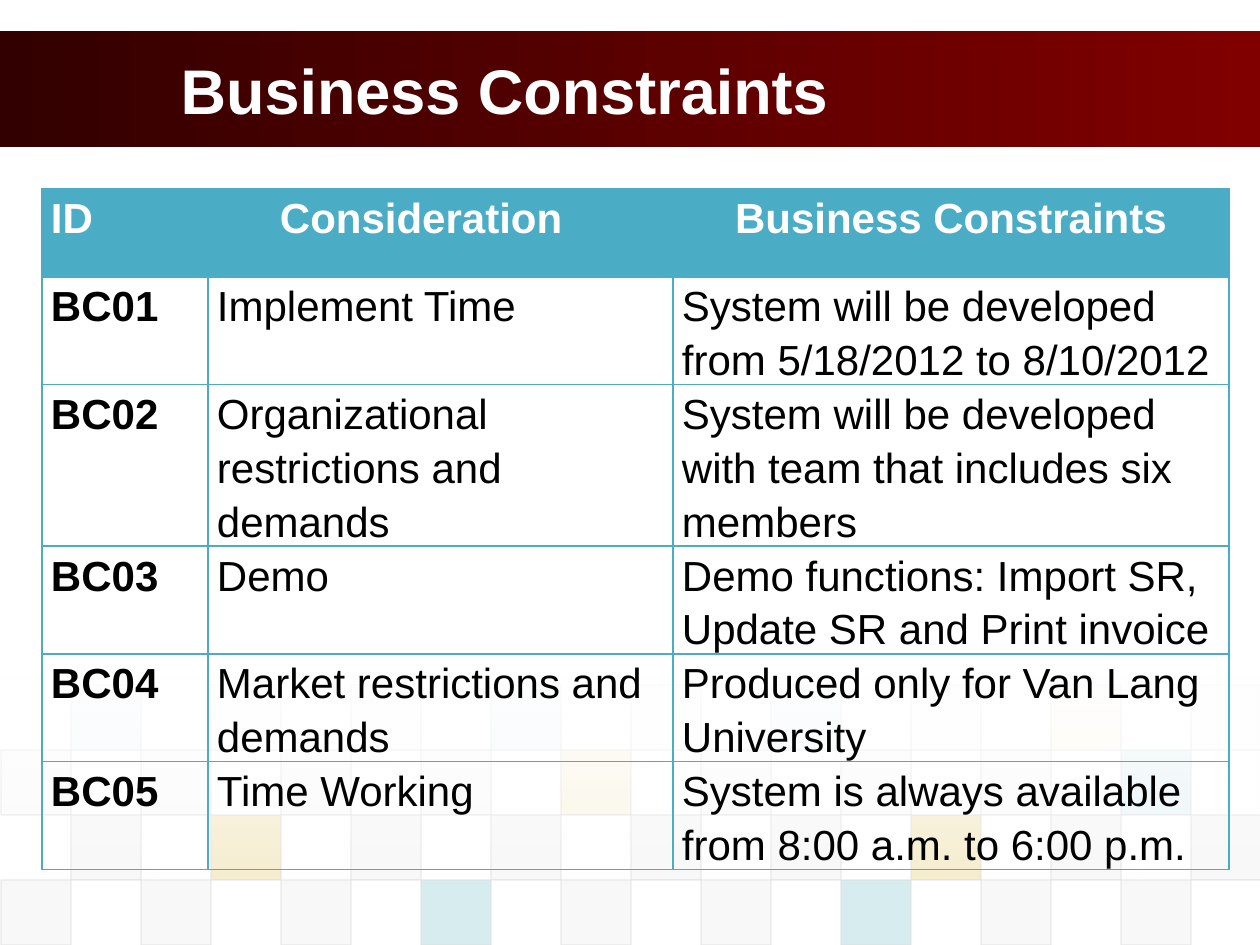
from dataclasses import dataclass

from lxml.etree import SubElement
from pptx import Presentation
from pptx.dml.color import RGBColor
from pptx.enum.shapes import MSO_SHAPE
from pptx.enum.text import MSO_ANCHOR, MSO_AUTO_SIZE, PP_ALIGN
from pptx.oxml import parse_xml
from pptx.oxml.ns import nsdecls, qn
from pptx.shapes.autoshape import Shape
from pptx.slide import Slide
from pptx.table import _Cell
from pptx.util import Emu, Pt

PX_PER_INCH = 126
WIDTH, HEIGHT = 1260, 945

WHITE = RGBColor(0xFF, 0xFF, 0xFF)
BLACK = RGBColor(0x00, 0x00, 0x00)
DARK_RED = RGBColor(0x33, 0x00, 0x00)
RED = RGBColor(0x80, 0x00, 0x00)
GRAY = RGBColor(0xDD, 0xDD, 0xDD)
PALE_GRAY = RGBColor(0xEA, 0xEA, 0xEA)
GOLD = RGBColor(0xD3, 0xA9, 0x11)
TEAL = RGBColor(0x38, 0xA3, 0xB2)
BLUE = RGBColor(0x4B, 0xAC, 0xC6)

FONT = "Arial"
TILE_W, TILE_H, TILE_TOP = 70, 65, 685
TILE_COLUMNS = 18
COLUMN_WIDTHS = (166, 465, 556)
ROW_HEIGHT = 88


@dataclass(frozen=True)
class TileRow:
    first_column: int
    opacity: int
    base: RGBColor
    accents: dict[int, RGBColor]


TILE_ROWS = (
    TileRow(1, 5, PALE_GRAY, {1: TEAL, 7: TEAL, 9: GRAY, 11: TEAL, 15: GOLD}),
    TileRow(0, 10, GRAY, {8: GOLD, 16: TEAL}),
    TileRow(1, 20, GRAY, {3: GOLD, 13: GOLD}),
    TileRow(0, 20, GRAY, {6: TEAL, 12: TEAL}),
)


@dataclass(frozen=True)
class Constraint:
    code: str
    consideration: str
    detail: str


HEADER = Constraint("ID", "\tConsideration", "Business Constraints")
CONSTRAINTS = (
    Constraint("BC01", "Implement Time",
               "System will be developed from 5/18/2012 to 8/10/2012"),
    Constraint("BC02", "Organizational restrictions and demands",
               "System will be developed with team that includes six members"),
    Constraint("BC03", "Demo",
               "Demo functions: Import SR, Update SR and Print invoice"),
    Constraint("BC04", "Market restrictions and demands",
               "Produced only for Van Lang University"),
    Constraint("BC05", "Time Working",
               "System is always available from 8:00 a.m. to 6:00 p.m."),
)


def px(n: int) -> Emu:
    return Emu(round(n * 914400 / PX_PER_INCH))


def add_rect(s: Slide, x: int, y: int, w: int, h: int) -> Shape:
    sp = s.shapes.add_shape(MSO_SHAPE.RECTANGLE, px(x), px(y), px(w), px(h))
    sp.shadow.inherit = False
    sp.line.fill.background()
    return sp


def set_gradient(sp: Shape, angle: int, start: RGBColor, end: RGBColor) -> None:
    sp.fill.gradient()
    sp.fill.gradient_angle = angle
    for stop, color in zip(sp.fill.gradient_stops, (start, end)):
        stop.color.rgb = color


def set_opacities(sp: Shape, *percents: int) -> None:
    """Apply opacities to the shape's colours in order: fill first, then line."""
    for color, percent in zip(list(sp._element.iter(qn("a:srgbClr"))), percents):
        SubElement(color, qn("a:alpha")).set("val", str(percent * 1000))


def add_background(s: Slide) -> None:
    band = add_rect(s, 0, 31, WIDTH, 116)
    set_gradient(band, 0, DARK_RED, RED)
    for i, row in enumerate(TILE_ROWS):
        for column in range(row.first_column, TILE_COLUMNS, 2):
            tile = add_rect(s, 1 + column * TILE_W, TILE_TOP + i * TILE_H,
                            TILE_W, TILE_H)
            tile.fill.solid()
            tile.fill.fore_color.rgb = row.accents.get(column, row.base)
            tile.line.color.rgb = GRAY
            tile.line.width = Pt(0.75)
            set_opacities(tile, row.opacity, 60)
    fade = add_rect(s, 0, 677, WIDTH, 204)
    set_gradient(fade, 270, WHITE, WHITE)
    set_opacities(fade, 90, 0)


def format_title(s: Slide) -> None:
    title = s.shapes.title
    s.shapes._spTree.append(title._element)  # bring in front of the band
    title.left, title.top, title.width, title.height = map(px, (168, 31, 1018, 116))
    tf = title.text_frame
    tf.text = "Business Constraints"
    tf.auto_size = MSO_AUTO_SIZE.NONE
    tf.vertical_anchor = MSO_ANCHOR.MIDDLE
    p = tf.paragraphs[0]
    p.alignment = PP_ALIGN.LEFT
    p.font.name, p.font.size, p.font.bold = FONT, Pt(36), True
    p.font.color.rgb = WHITE


def set_borders(cell: _Cell) -> None:
    tc_pr = cell._tc.get_or_add_tcPr()
    for i, side in enumerate("LRTB"):
        tc_pr.insert(i, parse_xml(
            f'<a:ln{side} {nsdecls("a")} w="12700"><a:solidFill>'
            f'<a:srgbClr val="{BLUE}"/></a:solidFill></a:ln{side}>'))


def fill_cell(cell: _Cell, text: str, is_header: bool, bold: bool) -> None:
    cell.text = text
    cell.margin_left = cell.margin_right = px(9)
    cell.margin_top = cell.margin_bottom = 0
    if is_header:
        cell.fill.solid()
        cell.fill.fore_color.rgb = BLUE
    else:
        cell.fill.background()
    set_borders(cell)
    p = cell.text_frame.paragraphs[0]
    p.line_spacing = 1.15
    p.font.name, p.font.size, p.font.bold = FONT, Pt(24), bold
    p.font.color.rgb = WHITE if is_header else BLACK


def add_constraints_table(s: Slide) -> None:
    rows = (HEADER, *CONSTRAINTS)
    table = s.shapes.add_table(
        len(rows), len(COLUMN_WIDTHS), px(42), px(189),
        px(sum(COLUMN_WIDTHS)), px(ROW_HEIGHT * len(rows))).table
    table.horz_banding = False
    for column, width in zip(table.columns, COLUMN_WIDTHS):
        column.width = px(width)
    for i, row in enumerate(rows):
        table.rows[i].height = px(ROW_HEIGHT)
        for j, text in enumerate((row.code, row.consideration, row.detail)):
            fill_cell(table.cell(i, j), text, i == 0, i == 0 or j == 0)
    table.cell(0, 2).text_frame.paragraphs[0].alignment = PP_ALIGN.CENTER


def main() -> None:
    prs = Presentation()
    prs.slide_width, prs.slide_height = px(WIDTH), px(HEIGHT)
    s = prs.slides.add_slide(prs.slide_layouts[5])
    add_background(s)
    format_title(s)
    add_constraints_table(s)
    prs.save("out.pptx")


if __name__ == "__main__":
    main()
